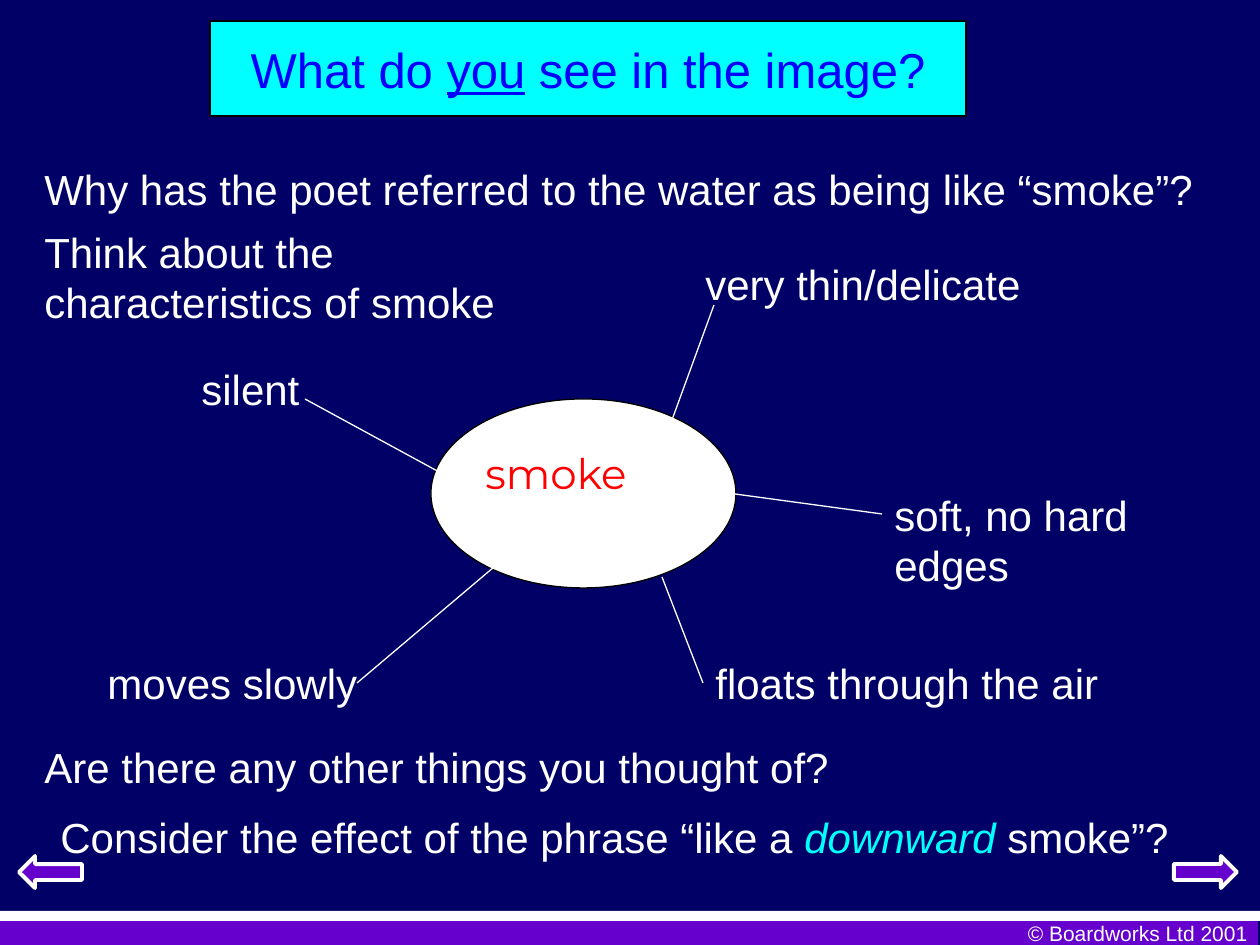
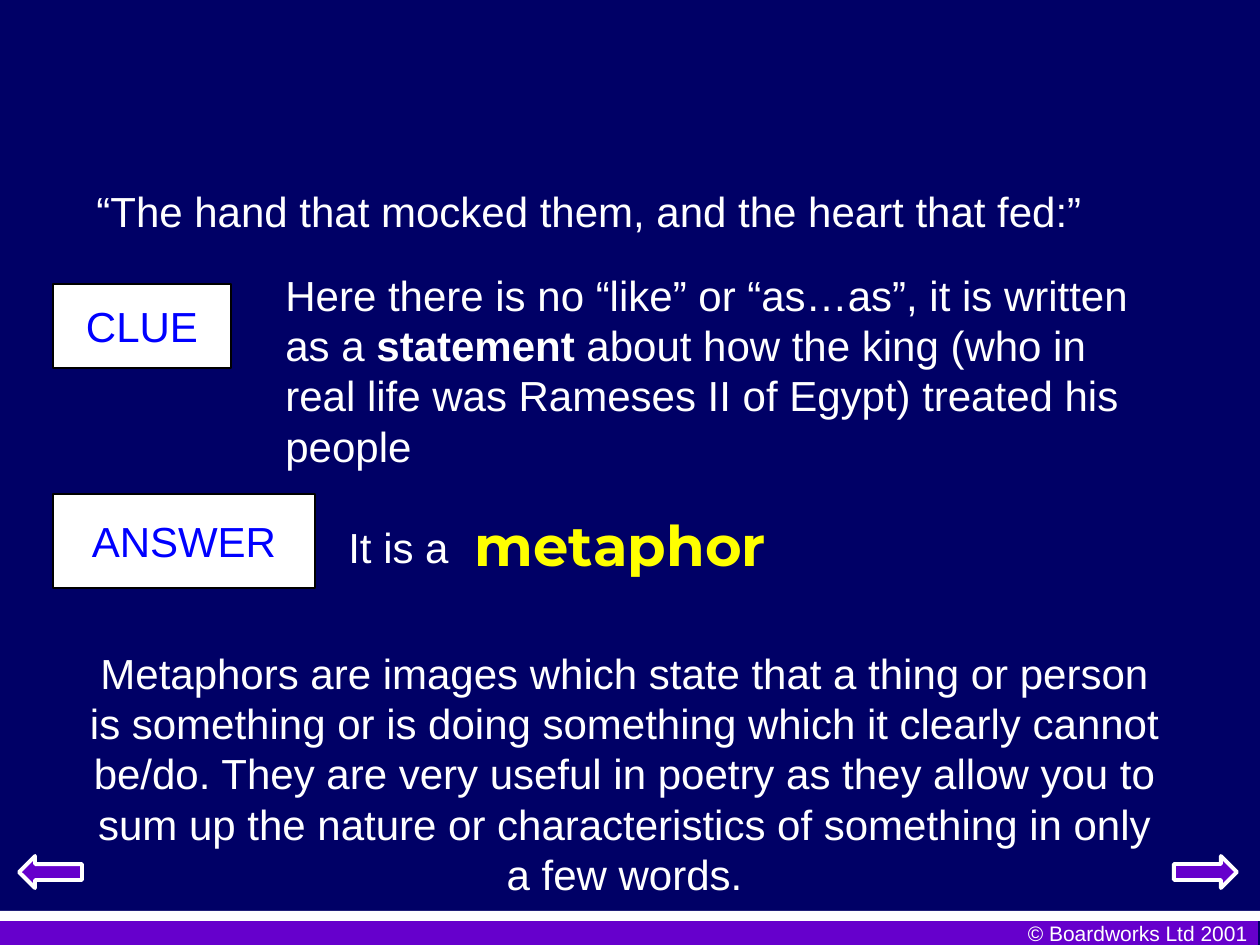
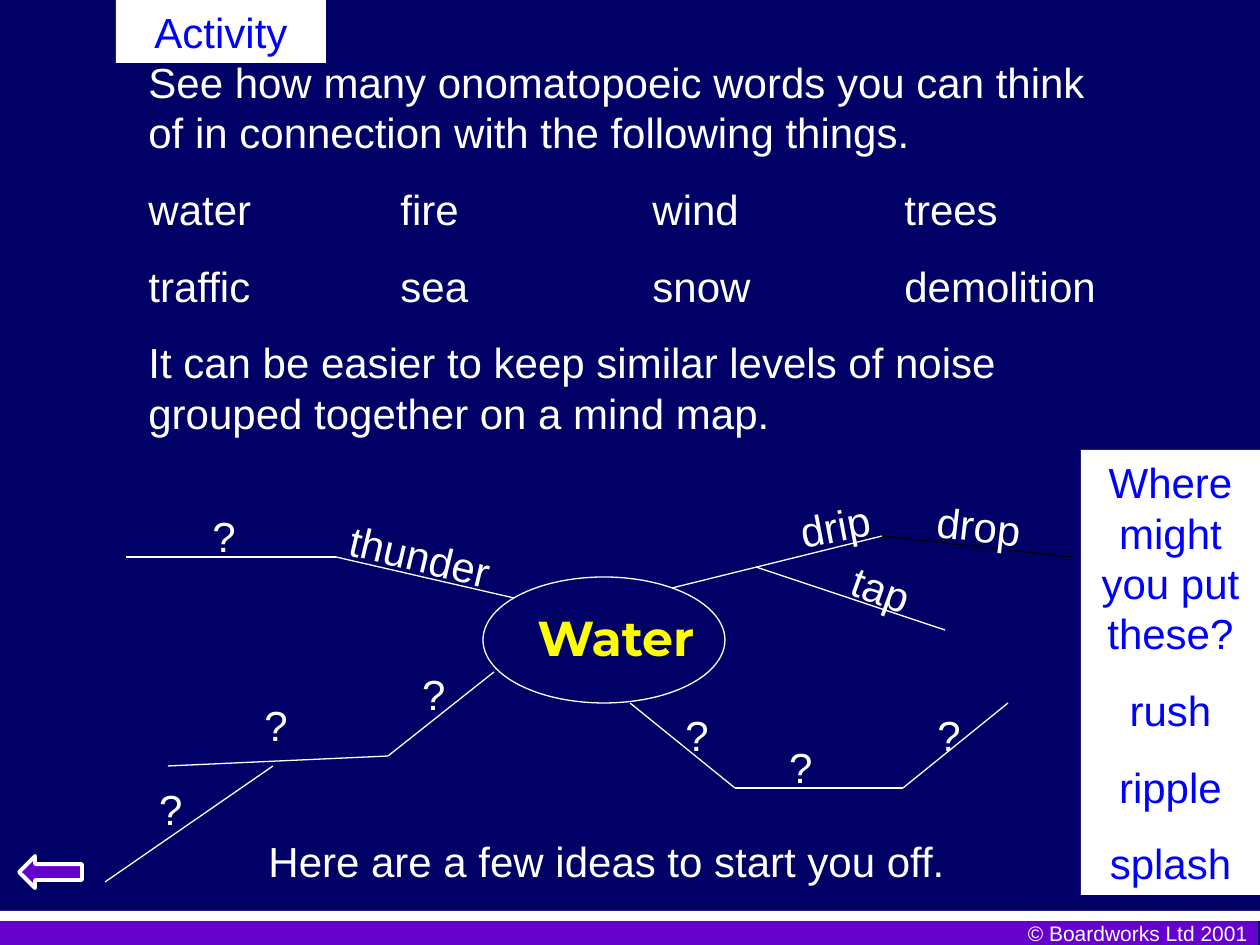
from itertools import pairwise

from lxml import etree
from pptx import Presentation
from pptx import util as u
from pptx.dml.color import RGBColor
from pptx.enum import shapes, text
from pptx.oxml.ns import qn

SCALE = u.Inches(1) / 126
WIDTH, HEIGHT = 1260, 945
NAVY, PURPLE, BLUE, CYAN = "000066", "6600CC", "0000FF", "00FFFF"
WHITE, BLACK, RED, YELLOW = "FFFFFF", "000000", "FF0000", "FFFF00"
LEFT, CENTER, RIGHT = text.PP_ALIGN.LEFT, text.PP_ALIGN.CENTER, text.PP_ALIGN.RIGHT
TOP, MIDDLE = text.MSO_ANCHOR.TOP, text.MSO_ANCHOR.MIDDLE
KINDS = shapes.MSO_SHAPE
TITLE_ONLY, BLANK = 5, 6
LINE_HEIGHT = 63


def px(length):
    """Turn px into EMU."""
    return u.Emu(round(length * SCALE))


def rgb(color):
    """Turn a hex string into a colour."""
    return RGBColor.from_string(color)


def within(box, left, top, *size):
    """Shift a place so that it is relative to the box."""
    return (box[0] + left, box[1] + top, *size)


def paint(shape, fill, line=None, width=0.75):
    """Set the fill and outline of a shape."""
    if fill:
        shape.fill.solid()
        shape.fill.fore_color.rgb = rgb(fill)
    else:
        shape.fill.background()
    if line:
        shape.line.color.rgb = rgb(line)
        shape.line.width = u.Pt(width)
    else:
        shape.line.fill.background()


def add_shape(page, kind, box, fill, line=None, width=0.75):
    """Add a preset shape without a shadow."""
    shape = page.shapes.add_shape(kind, *map(px, box))
    shape.shadow.inherit = False
    paint(shape, fill, line, width)
    return shape


def write(shape, paras, color=WHITE, size=24, font="Arial", align=LEFT,
          anchor=TOP, wrap=True, bold=False):
    """Fill a shape with paragraphs, each a list of (words, changes) runs."""
    frame = shape.text_frame
    frame.word_wrap = wrap
    frame.auto_size = text.MSO_AUTO_SIZE.NONE
    frame.vertical_anchor = anchor
    for index, runs in enumerate(paras):
        para = frame.add_paragraph() if index else frame.paragraphs[0]
        para.alignment = align
        para.space_before = u.Pt(15 if index else 0)
        for words, changes in runs:
            span = para.add_run()
            span.text = words
            span.font.name = font
            span.font.size = u.Pt(size)
            span.font.bold = changes.get("bold", bold)
            span.font.italic = changes.get("italic", False)
            span.font.underline = changes.get("underline", False)
            span.font.color.rgb = rgb(changes.get("color", color))


def plain(*lines):
    """Make one single-run paragraph of each line."""
    return [[(line, {})] for line in lines]


def add_text(page, box, paras, **style):
    """Add a text box."""
    shape = page.shapes.add_textbox(*map(px, box))
    write(shape, plain(paras) if isinstance(paras, str) else paras, **style)
    return shape


def add_panel(page, box, paras, line=None, wrap=True):
    """Add a white rectangle with blue centred text."""
    panel = add_shape(page, KINDS.RECTANGLE, box, WHITE, line)
    write(panel, paras, color=BLUE, align=CENTER, anchor=MIDDLE, wrap=wrap)


def add_branch(page, box, points, color=WHITE):
    """Draw a chain of lines through points relative to the box."""
    for start, end in pairwise(within(box, *point) for point in points):
        line = page.shapes.add_connector(
            shapes.MSO_CONNECTOR.STRAIGHT, *map(px, start + end))
        line.line.color.rgb = rgb(color)
        line.line.width = u.Pt(0.75)
        etree.SubElement(line._element.spPr, qn("a:effectLst"))


def set_title(page, box, runs, fill, line=None, size=24):
    """Place and format the title placeholder."""
    title = page.shapes.title
    title.left, title.top, title.width, title.height = map(px, box)
    paint(title, fill, line)
    write(title, [runs], color=BLUE, size=size, align=CENTER, anchor=MIDDLE)


def set_tabs(para, stops):
    """Give a paragraph left tab stops, in inches."""
    tabs = etree.SubElement(para._p.get_or_add_pPr(), qn("a:tabLst"))
    for stop in stops:
        etree.SubElement(tabs, qn("a:tab"), pos=str(u.Inches(stop)), algn="l")


def add_page(deck, layout, forward=True):
    """Add a slide with the footer bands and navigation arrows."""
    page = deck.slides.add_slide(deck.slide_layouts[layout])
    add_shape(page, KINDS.RECTANGLE, (-2, 921, WIDTH, 24), PURPLE)
    add_text(page, (966, 914, 294, 38), "© Boardworks Ltd 2001", size=12, align=RIGHT)
    add_shape(page, KINDS.RECTANGLE, (0, 911, WIDTH, 10), WHITE)
    for left, turn in [(19, 180), (1174, 0)][:2 if forward else 1]:
        arrow = add_shape(page, KINDS.RIGHT_ARROW, (left, 856, 63, 32), PURPLE, WHITE, 2.25)
        arrow.rotation = turn
    return page


def add_smoke_map(page, box):
    """Draw the smoke bubble and its characteristics."""
    add_shape(page, KINDS.OVAL, within(box, 341, 149, 305, 189), WHITE, BLACK)
    add_text(page, within(box, 383, 191, 227, 89), "smoke",
             color=RED, font="Montserrat", wrap=False)
    for start, end, words, place in [
        ((351, 223), (215, 149), "silent", (99, 107, 126, LINE_HEIGHT)),
        ((404, 317), (267, 433), "moves slowly", (5, 401, 284, LINE_HEIGHT)),
        ((582, 170), (624, 55), "very thin/delicate", (603, 2, 441, LINE_HEIGHT)),
        ((645, 244), (792, 264), "soft, no hard edges", (792, 233, 273, 113)),
        ((572, 327), (613, 433), "floats through the air", (613, 401, 420, LINE_HEIGHT)),
    ]:
        add_branch(page, box, [start, end])
        add_text(page, within(box, *place), words)


def add_water_map(page, box):
    """Draw the water mind map with its sound words."""
    add_shape(page, KINDS.OVAL, within(box, 383, 87, 242, 126), None, WHITE)
    add_text(page, within(box, 425, 108, 164, 78), "Water", color=YELLOW, size=28,
             font="Montserrat", bold=True, anchor=MIDDLE, wrap=False)
    for points in [
        [(572, 98), (782, 46)],
        [(656, 77), (845, 140)],
        [(414, 108), (236, 67), (26, 67)],
        [(394, 182), (288, 266), (68, 276)],
        [(173, 276), (5, 392)],
        [(530, 213), (635, 298), (803, 298), (908, 213)],
    ]:
        add_branch(page, box, points)
    add_branch(page, box, [(782, 46), (971, 67)], BLACK)
    gaps = [(100, 14), (152, 203), (310, 172), (47, 287), (573, 213), (677, 245), (825, 213)]
    for words, left, top, width, turn in [
        ("drip", 688, 4, 94, 349.3),
        ("drop", 825, 4, 108, 6.6),
        ("tap", 740, 67, 83, 19.9),
        ("thunder", 236, 34, 168, 13.4),
        *(("?", left, top, 48, 0) for left, top in gaps),
    ]:
        label = add_text(page, within(box, left, top, width, LINE_HEIGHT), words,
                         align=CENTER, anchor=MIDDLE, wrap=False)
        label.rotation = turn


def build_image_slide(deck):
    """Build the slide about the smoke image."""
    page = add_page(deck, TITLE_ONLY)
    set_title(page, (210, 21, 756, 95),
              [("What do ", {}), ("you", {"underline": True}), (" see in the image?", {})],
              CYAN, BLACK, 28)
    add_text(page, (32, 157, 1187, LINE_HEIGHT),
             "Why has the poet referred to the water as being like “smoke”?")
    add_text(page, (32, 220, 514, 113), "Think about the characteristics of smoke")
    add_smoke_map(page, (90, 250))
    add_text(page, (32, 735, 829, LINE_HEIGHT), "Are there any other things you thought of?")
    add_text(page, (48, 805, 1134, LINE_HEIGHT),
             [[("Consider the effect of the phrase “like a ", {}),
               ("downward", {"color": CYAN, "italic": True}),
               (" smoke”?", {})]], wrap=False)


def build_metaphor_slide(deck):
    """Build the slide that explains metaphors."""
    page = add_page(deck, BLANK)
    add_text(page, (84, 179, 1050, LINE_HEIGHT),
             "“The hand that mocked them, and the heart that fed:”")
    add_panel(page, (53, 284, 178, 84), plain("CLUE"), BLACK, wrap=False)
    add_text(page, (273, 263, 903, 214),
             [[("Here there is no “like” or “as…as”, it is written as a ", {}),
               ("statement", {"bold": True}),
               (" about how the king (who in real life was Rameses II of Egypt)"
                " treated his people", {})]])
    add_panel(page, (53, 494, 262, 94), plain("ANSWER"), BLACK, wrap=False)
    add_text(page, (336, 515, 136, LINE_HEIGHT), "It is a")
    add_text(page, (462, 504, 309, 79), "metaphor", color=YELLOW, size=32,
             font="Montserrat", bold=True, wrap=False)
    add_text(page, (73, 641, 1103, 265),
             "Metaphors are images which state that a thing or person is something or is"
             " doing something which it clearly cannot be/do. They are very useful in poetry"
             " as they allow you to sum up the nature or characteristics of something in"
             " only a few words.", align=CENTER)


def build_activity_slide(deck):
    """Build the activity slide on onomatopoeic words."""
    page = add_page(deck, TITLE_ONLY, forward=False)
    set_title(page, (116, 0, 210, LINE_HEIGHT), [("Activity", {})], WHITE)
    task = add_text(page, (136, 50, 977, 394), plain(
        "See how many onomatopoeic words you can think of in connection with the"
        " following things.",
        "water\tfire\twind\ttrees",
        "traffic\tsea\tsnow\tdemolition",
        "It can be easier to keep similar levels of noise grouped together on a mind map.",
    ), anchor=MIDDLE)
    for para in task.text_frame.paragraphs[1:3]:
        set_tabs(para, (2, 4, 6))
    add_water_map(page, (100, 490))
    add_text(page, (250, 829, 713, LINE_HEIGHT), "Here are a few ideas to start you off.",
             align=CENTER, anchor=MIDDLE, wrap=False)
    add_panel(page, (1081, 450, 179, 445),
              plain("Where might you put these?", "rush", "ripple", "splash"))


def main():
    """Build and save the deck."""
    deck = Presentation()
    deck.slide_width, deck.slide_height = px(WIDTH), px(HEIGHT)
    backdrop = deck.slide_master.background.fill
    backdrop.solid()
    backdrop.fore_color.rgb = rgb(NAVY)
    build_image_slide(deck)
    build_metaphor_slide(deck)
    build_activity_slide(deck)
    deck.save("out.pptx")


if __name__ == "__main__":
    main()
